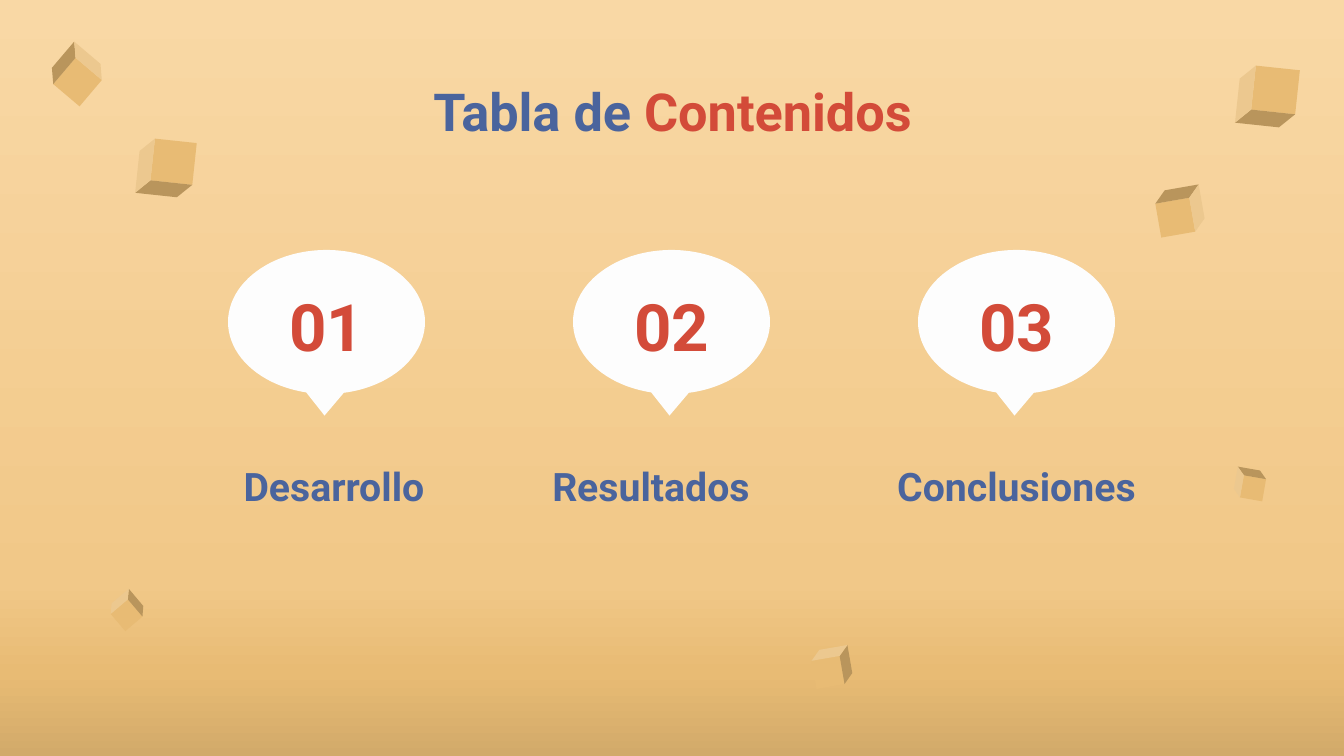
from lxml.etree import SubElement
from pptx import Presentation
from pptx.dml.color import RGBColor
from pptx.enum.shapes import MSO_SHAPE
from pptx.enum.text import MSO_ANCHOR, MSO_AUTO_SIZE, PP_ALIGN
from pptx.oxml.ns import qn
from pptx.util import Emu, Pt

PX = 914400 / 134.4
BLUE, RED, WHITE, SAND = "4A649D", "D34B39", "FDFDFD", "E8BB74"


def write(shape, box, *runs, size, anchor=MSO_ANCHOR.TOP):
    """Place the shape at box and fill it with one centred line of (text, colour) runs."""
    shape.left, shape.top, shape.width, shape.height = [Emu(round(n * PX)) for n in box]
    frame = shape.text_frame
    frame.auto_size = MSO_AUTO_SIZE.NONE
    frame.word_wrap = True
    frame.vertical_anchor = anchor
    frame.margin_left = frame.margin_right = Emu(91440)
    frame.margin_top = frame.margin_bottom = Emu(91440)
    paragraph = frame.paragraphs[0]
    paragraph.alignment = PP_ALIGN.CENTER
    paragraph.space_before = Pt(0)
    properties = paragraph._p.get_or_add_pPr()
    properties.set("marL", "0")
    properties.set("indent", "0")
    SubElement(properties, qn("a:buNone"))
    for text, color in runs:
        run = paragraph.add_run()
        run.text = text
        run.font.name = "Roboto"
        run.font.size = Pt(size)
        run.font.bold = True
        run.font.color.rgb = RGBColor.from_string(color)


def add_preset(preset, box, color):
    shape = slide.shapes.add_shape(preset, *[Emu(round(n * PX)) for n in box])
    shape.shadow.inherit = False
    shape.fill.solid()
    shape.fill.fore_color.rgb = RGBColor.from_string(color)
    shape.line.fill.background()
    return shape


presentation = Presentation()
presentation.slide_width = Emu(round(1344 * PX))
presentation.slide_height = Emu(round(756 * PX))
slide = presentation.slides.add_slide(presentation.slide_layouts[4])

# Background: sky above, darker sand at the bottom
background = slide.background.fill
background.gradient()
background.gradient_angle = 270
stops = next(slide.element.iter(qn("a:gsLst")))
stops.clear()
for position, color in [(0, "F9D8A5"), (77, "F1C888"), (89, SAND), (100, "D2AA6A")]:
    stop = SubElement(stops, qn("a:gs"), pos=str(position * 1000))
    SubElement(stop, qn("a:srgbClr"), val=color)

# Floating cubes: left, top, side, rotation, mirrored
cubes = [
    (54, 51, 46, 40.3, True),
    (138, 140, 56, 276.1, True),
    (1235, 469, 30, 279.9, False),
    (112, 595, 30, 319.7, False),
    (1238, 67, 59, 276.1, True),
    (1157, 188, 46, 80.1, True),
    (813, 648, 38, 350.1, False),
]
for left, top, side, rotation, mirrored in cubes:
    cube = add_preset(MSO_SHAPE.CUBE, (left, top, side, side), SAND)
    cube.adjustments[0] = 0.25
    cube.rotation = rotation
    if mirrored:
        cube.element.spPr.find(qn("a:xfrm")).set("flipH", "1")

write(slide.shapes.title, (106, 66, 1133, 85),
      ("Tabla de ", BLUE), ("Contenidos", RED), size=28)

# Sections: label, its left edge and width
sections = [("Desarrollo", 196, 276), ("Resultados", 501, 300), ("Conclusiones", 844, 345)]
for index, (label, left, width) in enumerate(sections):
    offset = index * 345
    bubble = add_preset(MSO_SHAPE.OVAL_CALLOUT, (228 + offset, 250, 197, 144), WHITE)
    bubble.adjustments[0] = -0.01
    bubble.adjustments[1] = 0.65
    number = slide.shapes.add_textbox(0, 0, 0, 0)
    write(number, (241 + offset, 239, 172, 172), (f"{index + 1:02}", RED),
          size=35, anchor=MSO_ANCHOR.MIDDLE)
    write(slide.placeholders[index + 1], (left, 449, width, 85), (label, BLUE), size=21)

unused = slide.placeholders[4].element
unused.getparent().remove(unused)

presentation.save("out.pptx")
